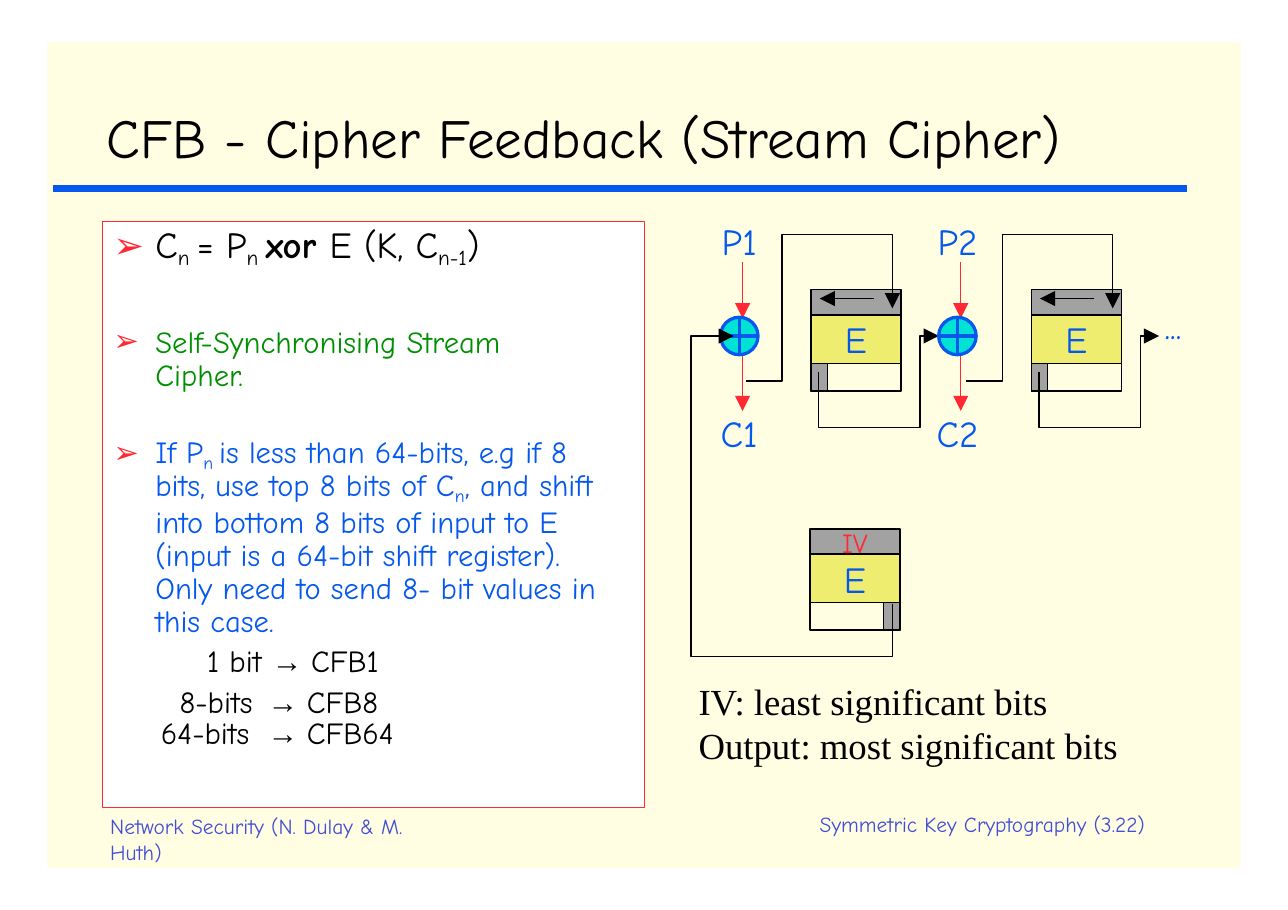
from lxml import etree
from pptx import Presentation
from pptx import util as u
from pptx.dml.color import RGBColor
from pptx.enum import shapes, text
from pptx.oxml.ns import qn

PX = 9144  # EMU per px, 100 px to the inch
FONT = "Comic Neue"
BLACK, WHITE, CREAM = "000000", "FFFFFF", "FFFEE2"
BLUE, RED, GREEN, VIOLET = "0558ED", "FF2833", "008F00", "434DD6"
GREY, YELLOW, CYAN = "A2A2A2", "EEED70", "00E3D4"
THIN = 0.96
XOR_STEP, BLOCK_STEP = 198, 200
SUB, BOLD, ARROW = "subscript", "bold", "arrow"


def color(value):
    return RGBColor.from_string(value)


def place(shape, left, top, width, height):
    shape.left, shape.top = left * PX, top * PX
    shape.width, shape.height = width * PX, height * PX


def style_font(font, size, ink, name=FONT):
    font.size, font.name = u.Pt(size), name
    font.color.rgb = color(ink)


def prepare_frame(shape, anchor=text.MSO_ANCHOR.TOP, right_inset=0):
    frame = shape.text_frame
    frame.word_wrap = True
    frame.auto_size = text.MSO_AUTO_SIZE.NONE
    frame.vertical_anchor = anchor
    frame.margin_left = frame.margin_top = frame.margin_bottom = 0
    frame.margin_right = right_inset * PX
    return frame


def add_shape(slide, kind, left, top, width, height, fill=None, line=None, weight=THIN):
    shape = slide.shapes.add_shape(kind, left * PX, top * PX, width * PX, height * PX)
    shape.shadow.inherit = False
    if fill:
        shape.fill.solid()
        shape.fill.fore_color.rgb = color(fill)
    else:
        shape.fill.background()
    if line:
        shape.line.color.rgb = color(line)
        shape.line.width = u.Pt(weight)
    else:
        shape.line.fill.background()
    return shape


def add_box(slide, left, top, width, height, fill=None, line=BLACK, label="", size=24, ink=BLUE):
    box = add_shape(slide, shapes.MSO_SHAPE.RECTANGLE, left, top, width, height, fill, line)
    if label:
        paragraph = prepare_frame(box, text.MSO_ANCHOR.MIDDLE).paragraphs[0]
        paragraph.text = label
        paragraph.alignment = text.PP_ALIGN.CENTER
        style_font(paragraph.font, size, ink)


def add_label(slide, left, top, width, height, lines, size=24, ink=BLUE, name=FONT,
              align=text.PP_ALIGN.LEFT, spacing=None):
    box = slide.shapes.add_textbox(left * PX, top * PX, width * PX, height * PX)
    frame = prepare_frame(box)
    for index, line in enumerate(lines):
        paragraph = frame.add_paragraph() if index else frame.paragraphs[0]
        paragraph.text = line
        paragraph.alignment = align
        if spacing:
            paragraph.line_spacing = u.Pt(spacing)
        style_font(paragraph.font, size, ink, name)


def add_arrowhead(shape):
    etree.SubElement(shape.line._get_or_add_ln(), qn("a:tailEnd"), type="triangle", w="lg", len="lg")


def add_line(slide, x1, y1, x2, y2, ink, weight=THIN, arrow=True):
    line = slide.shapes.add_connector(shapes.MSO_CONNECTOR.STRAIGHT, x1 * PX, y1 * PX, x2 * PX, y2 * PX)
    line.line.color.rgb = color(ink)
    line.line.width = u.Pt(weight)
    if arrow:
        add_arrowhead(line)
    etree.SubElement(line._element.spPr, qn("a:effectLst"))


def add_bent_arrow(slide, points, shift=0):
    """Draw an arrow through the points, moved right by shift."""
    points = [(x + shift, y) for x, y in points]
    builder = slide.shapes.build_freeform(*points[0], scale=PX)
    builder.add_line_segments(points[1:], close=False)
    shape = builder.convert_to_shape()
    shape.shadow.inherit = False
    shape.fill.background()
    shape.line.color.rgb = color(BLACK)
    shape.line.width = u.Pt(THIN)
    add_arrowhead(shape)


def add_cipher_block(slide, left, top, label="", used_at_right=False):
    """Stack the input register, E and the output register with its used bits."""
    width, used = 82, 15
    add_box(slide, left, top, width, 25, GREY, label=label, size=18, ink=RED)
    add_box(slide, left, top + 67, width, 25)
    used_left = left + width - used if used_at_right else left
    add_box(slide, used_left, top + 67, used, 25, GREY)
    add_box(slide, left, top + 23, width, 44, YELLOW, label="E")


def add_xor(slide, index):
    """Draw plaintext, xor sign and ciphertext of one step."""
    center = 671 + XOR_STEP * index
    for prefix, top in (("P", 199), ("C", 373)):
        add_label(slide, center - 30, top, 60, 42, [f"{prefix}{index + 1}"], align=text.PP_ALIGN.CENTER)
    for start, end in ((238, 289), (323, 373)):
        add_line(slide, center + 3, start, center + 3, end, RED)
    add_shape(slide, shapes.MSO_SHAPE.FLOWCHART_OR, center - 17, 288, 34, 34, CYAN, BLUE, 2.16)


def format_list_item(paragraph, bullet, indent, tab):
    properties = paragraph._p.get_or_add_pPr()
    properties.set("marL", str(48 * PX if bullet else 0))
    properties.set("indent", str(indent * PX))
    if bullet:
        bullet_color = etree.SubElement(properties, qn("a:buClr"))
        etree.SubElement(bullet_color, qn("a:srgbClr"), val=RED)
        etree.SubElement(properties, qn("a:buChar"), char="➢")
    else:
        etree.SubElement(properties, qn("a:buNone"))
    if tab:
        tabs = etree.SubElement(properties, qn("a:tabLst"))
        etree.SubElement(tabs, qn("a:tab"), pos=str(tab * PX), algn="l")


def add_item(frame, runs, ink, size=20, before=0, spacing=None, bullet=True, indent=-38, tab=None):
    """Add a list item from (text, style) runs; None stands for a line break."""
    first = frame.paragraphs[0]
    paragraph = frame.add_paragraph() if first.runs else first
    paragraph.alignment = text.PP_ALIGN.LEFT
    paragraph.space_before = u.Pt(before)
    if spacing:
        paragraph.line_spacing = u.Pt(spacing)
    format_list_item(paragraph, bullet, indent, tab)
    style_font(paragraph.font, size, ink)
    for words, style in runs:
        if words is None:
            paragraph.add_line_break()
            continue
        run = paragraph.add_run()
        run.text = words
        if style == SUB:
            run._r.get_or_add_rPr().set("baseline", "-21000")
        elif style == BOLD:
            run.font.bold = True
        elif style == ARROW:
            run.font.name = "Arial"


def fill_notes_box(body):
    place(body, 93, 201, 492, 532)
    body.fill.solid()
    body.fill.fore_color.rgb = color(WHITE)
    body.line.color.rgb = color(RED)
    body.line.width = u.Pt(THIN)
    frame = prepare_frame(body, right_inset=34)
    add_item(frame, [("C", None), ("n ", SUB), ("= P", None), ("n ", SUB), ("xor ", BOLD),
                     ("E (K, C", None), ("n-1", SUB), (")", None)], BLACK, size=24)
    add_item(frame, [("Self-Synchronising Stream", None), (None, None), ("Cipher.", None)],
             GREEN, before=37, spacing=21.6)
    add_item(frame, [("If P", None), ("n ", SUB),
                     ("is less than 64-bits, e.g if 8 bits, use top 8 bits of C", None), ("n", SUB),
                     (", and shift into bottom 8 bits of input to E (input is a 64-bit shift register). "
                      "Only need to send 8- bit values in this case.", None)],
             BLUE, before=31, spacing=21.6)
    for bits, mode, indent, tab, spacing in (("1 bit ", "CFB1", 95, None, 26.4),
                                             ("8-bits\t", "CFB8", 70, 174, 26.4),
                                             ("64-bits\t", "CFB64", 53, 170, 20.3)):
        add_item(frame, [(bits, None), ("→ ", ARROW), (mode, None)], BLACK,
                 spacing=spacing, bullet=False, indent=indent, tab=tab)


def main():
    presentation = Presentation()
    presentation.slide_width, presentation.slide_height = 1169 * PX, 826 * PX
    slide = presentation.slides.add_slide(presentation.slide_layouts[1])
    title, body = slide.placeholders

    add_box(slide, 43, 38, 1083, 750, CREAM, line=None)
    slide.shapes._spTree.insert(2, slide.shapes[-1]._element)
    add_line(slide, 48, 171, 1077, 171, BLUE, 4.08, arrow=False)

    place(title, 97, 94, 975, 71)
    heading = prepare_frame(title).paragraphs[0]
    heading.text = "CFB - Cipher Feedback (Stream Cipher)"
    heading.alignment = text.PP_ALIGN.LEFT
    style_font(heading.font, 36, BLACK)
    fill_notes_box(body)

    for index in range(2):
        shift = BLOCK_STEP * index
        add_xor(slide, index)
        add_cipher_block(slide, 736 + shift, 263)
        add_line(slide, 793 + shift, 271, 744 + shift, 271, BLACK)
        add_bent_arrow(slide, [(677, 346), (710, 346), (710, 213), (810, 213), (810, 280)], shift)
        add_bent_arrow(slide, [(743, 338), (743, 388), (835, 388), (835, 305), (852, 305)], shift)
    add_label(slide, 1057, 275, 40, 42, ["..."])

    add_cipher_block(slide, 735, 480, label="IV", used_at_right=True)
    add_bent_arrow(slide, [(810, 548), (810, 596), (627, 596), (627, 305), (666, 305)])

    add_label(slide, 634, 617, 450, 80, ["IV: least significant bits", "Output: most significant bits"],
              ink=BLACK, name="Times New Roman", spacing=28.4)
    add_label(slide, 744, 736, 329, 24, ["Symmetric Key Cryptography (3.22)"], 14, VIOLET, spacing=16.8)
    add_label(slide, 100, 738, 301, 48, ["Network Security (N. Dulay & M.", "Huth)"], 14, VIOLET, spacing=16.8)
    presentation.save("out.pptx")


if __name__ == "__main__":
    main()
